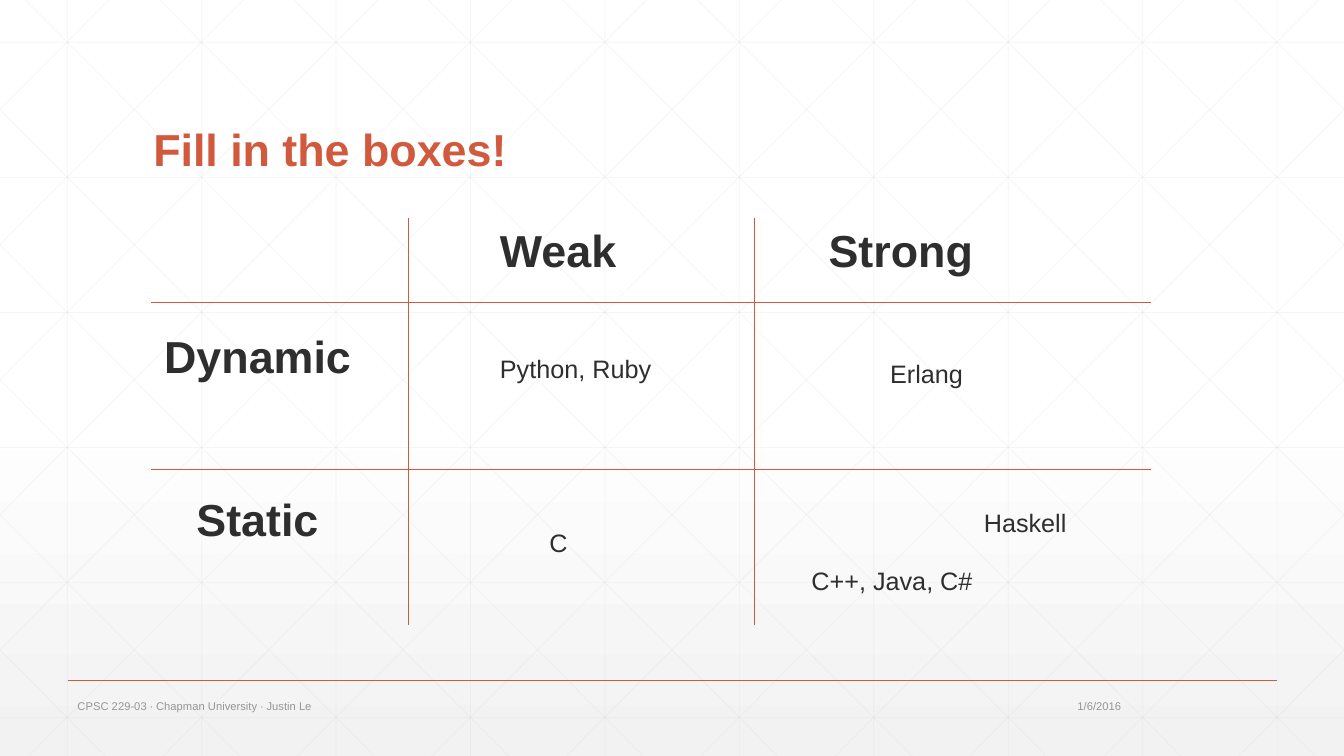
import dataclasses

import pptx
import pptx.dml.color
import pptx.enum.shapes
import pptx.enum.text
import pptx.oxml
import pptx.oxml.ns
import pptx.util

Inches = pptx.util.Inches
Pt = pptx.util.Pt
ANCHOR = pptx.enum.text.MSO_ANCHOR
ALIGN = pptx.enum.text.PP_ALIGN
FIT = pptx.enum.text.MSO_AUTO_SIZE

WIDE, HIGH = 13.33, 7.5
STEP = 4 / 3
SLOPE = 1.005
COLORS = {
    "white": "FFFFFF",
    "shade": "F2F2F2",
    "grid": "D9D9D9",
    "accent": "D15A3E",
    "ink": "2D2E2D",
    "muted": "959795",
}


@dataclasses.dataclass
class Label:
    """A text of the matrix and the place of its box."""
    text: str
    left: float
    top: float
    width: float


@dataclasses.dataclass
class Line:
    """A straight line between two points."""
    x1: float
    y1: float
    x2: float
    y2: float


HEADS = [
    Label("Strong", 8.12, 2.16, 1.65),
    Label("Weak", 4.86, 2.16, 1.36),
    Label("Static", 1.85, 4.83, 1.42),
    Label("Dynamic", 1.53, 3.21, 2.07),
]
ITEMS = [
    Label("Python, Ruby", 4.86, 3.46, 1.72),
    Label("C", 5.35, 5.18, 0.38),
    Label("Erlang", 8.73, 3.51, 0.93),
    Label("Haskell", 9.66, 4.98, 1.03),
    Label("C++, Java, C#", 7.95, 5.56, 1.81),
]
RULES = [Line(x, 2.16, x, 6.2) for x in (4.05, 7.48)]
RULES += [Line(1.5, y, 11.42, y) for y in (3, 4.66)]


def rgb(name: str) -> pptx.dml.color.RGBColor:
    """Look up a colour by name."""
    return pptx.dml.color.RGBColor.from_string(COLORS[name])


def draw(shapes, line: Line, color: str, width: float, alpha: int = 100) -> None:
    """Draw a line without shadow, see-through if alpha is below 100."""
    kind = pptx.enum.shapes.MSO_CONNECTOR.STRAIGHT
    ends = [Inches(v) for v in (line.x1, line.y1, line.x2, line.y2)]
    link = shapes.add_connector(kind, *ends)
    link.line.width = Pt(width)
    link.line.color.rgb = rgb(color)
    props = link.element.spPr
    if alpha < 100:
        tone = props.find(".//" + pptx.oxml.ns.qn("a:srgbClr"))
        tone.append(tag("alpha", f'val="{alpha * 1000}"'))
    props.append(tag("effectLst"))


def tag(name: str, attrs: str = ""):
    """Make an empty drawing element."""
    space = pptx.oxml.ns.nsdecls("a")
    return pptx.oxml.parse_xml(f"<a:{name} {space} {attrs}/>")


def write(shape, text: str, *, size: float, color: str = "ink",
          bold: bool = False, wrap: bool = False, anchor=ANCHOR.TOP,
          align=ALIGN.LEFT, fit=FIT.NONE, space: float = 1.0) -> None:
    """Put formatted text into a shape."""
    frame = shape.text_frame
    frame.word_wrap = wrap
    frame.auto_size = fit
    frame.vertical_anchor = anchor
    para = frame.paragraphs[0]
    para.alignment = align
    para.line_spacing = space
    run = para.add_run()
    run.text = text
    font = run.font
    font.name = "Arial"
    font.size = Pt(size)
    font.bold = bold
    font.color.rgb = rgb(color)


def box(shapes, label: Label, height: float, **style) -> None:
    """Add a text box for a label."""
    spot = (label.left, label.top, label.width, height)
    shape = shapes.add_textbox(*[Inches(v) for v in spot])
    write(shape, label.text, **style)


def slant(start: float) -> Line:
    """Clip the falling line that meets the top edge at start."""
    x1 = max(start, 0)
    x2 = min(start + HIGH / SLOPE, WIDE)
    return Line(x1, (x1 - start) * SLOPE, x2, (x2 - start) * SLOPE)


def flip(line: Line) -> Line:
    """Mirror a line from left to right."""
    return Line(WIDE - line.x1, line.y1, WIDE - line.x2, line.y2)


def mesh(shapes) -> None:
    """Draw the faint grid with its diagonals."""
    cols = [STEP * (i + 0.5) for i in range(10)]
    rows = [0.42 + 1.34 * i for i in range(6)]
    falls = [slant(0.25 + STEP * i) for i in range(-5, 10)]
    lines = [Line(x, 0, x, HIGH) for x in cols]
    lines += [Line(0, y, WIDE, y) for y in rows]
    lines += falls + [flip(fall) for fall in falls]
    group = shapes.add_group_shape()
    for line in lines:
        draw(group.shapes, line, "grid", 0.5, alpha=25)


def shade(slide) -> None:
    """Fade the background from white to light grey."""
    fill = slide.background.fill
    fill.gradient()
    fill.gradient_angle = 270
    for stop, spot, name in zip(fill.gradient_stops, (0.53, 1), ("white", "shade")):
        stop.position = spot
        stop.color.rgb = rgb(name)


def head(slide, text: str) -> None:
    """Place the title above the grid."""
    title = slide.shapes.title
    title.left, title.top = Inches(1.42), Inches(0.55)
    title.width, title.height = Inches(10.5), Inches(1.25)
    write(title, text, size=32, color="accent", bold=True, wrap=True,
          anchor=ANCHOR.BOTTOM, space=0.9)
    title.element.getparent().append(title.element)


def main() -> None:
    """Build and save the slide."""
    deck = pptx.Presentation()
    deck.slide_width, deck.slide_height = Inches(WIDE), Inches(HIGH)
    slide = deck.slides.add_slide(deck.slide_layouts[5])
    shapes = slide.shapes
    shade(slide)
    mesh(shapes)
    draw(shapes, Line(0.67, 6.75, 12.67, 6.75), "accent", 1)
    head(slide, "Fill in the boxes!")
    for label in HEADS:
        box(shapes, label, 0.64, size=32, bold=True, fit=FIT.SHAPE_TO_FIT_TEXT)
    for rule in RULES:
        draw(shapes, rule, "accent", 0.5)
    for label in ITEMS:
        box(shapes, label, 0.4, size=18, fit=FIT.SHAPE_TO_FIT_TEXT)
    foot = {"size": 8, "color": "muted", "wrap": True, "anchor": ANCHOR.MIDDLE}
    box(shapes, Label("1/6/2016", 10.16, 6.88, 1.06), 0.24, align=ALIGN.RIGHT, **foot)
    note = "CPSC 229-03 ∙ Chapman University ∙ Justin Le"
    box(shapes, Label(note, 0.67, 6.88, 6.7), 0.24, **foot)
    deck.save("out.pptx")


main()
